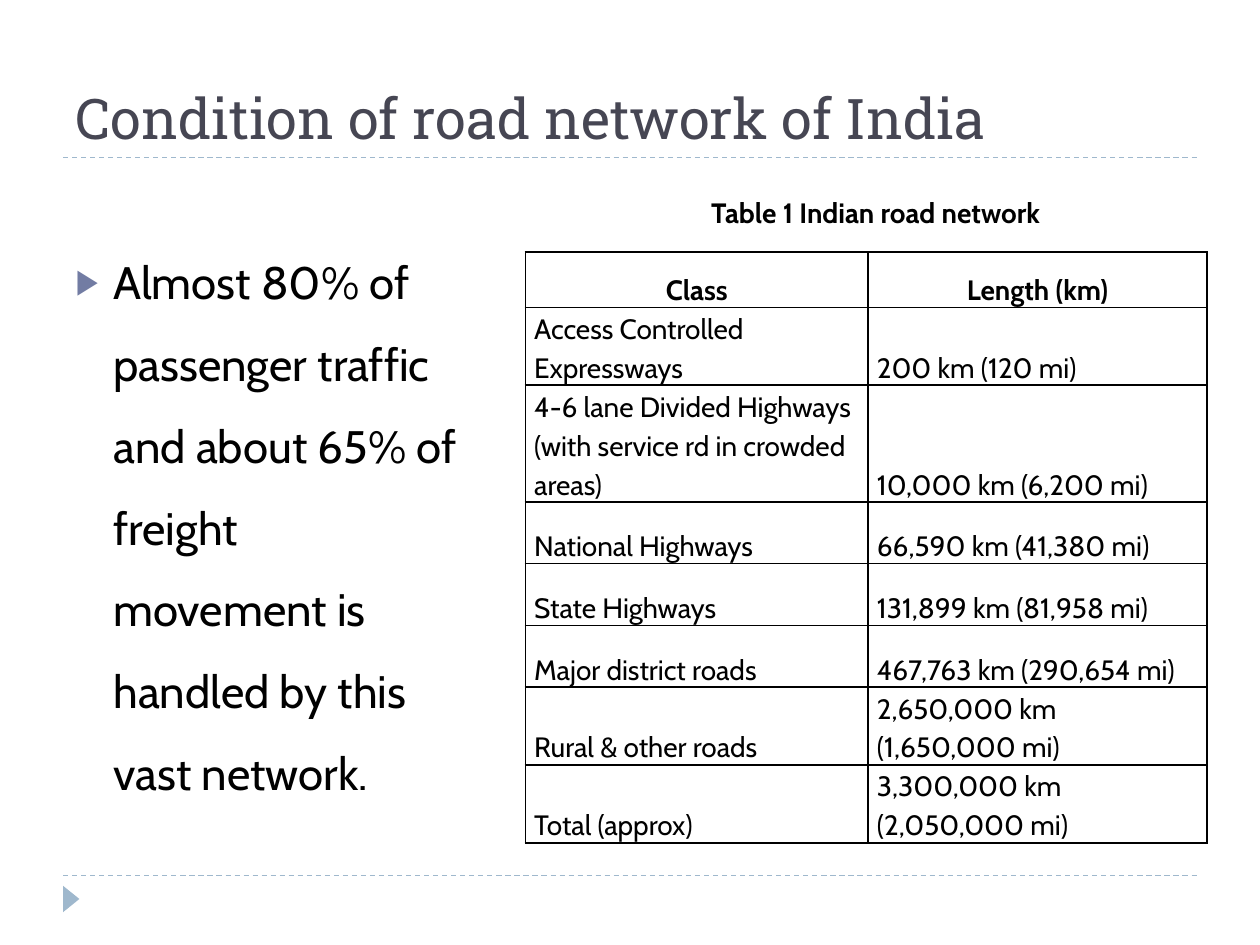
from lxml import etree
from pptx import Presentation
from pptx.dml.color import RGBColor
from pptx.enum.dml import MSO_LINE
from pptx.enum.shapes import MSO_CONNECTOR, MSO_SHAPE
from pptx.enum.text import MSO_ANCHOR, MSO_AUTO_SIZE, PP_ALIGN
from pptx.oxml.ns import qn
from pptx.util import Inches, Pt

LEFT, CENTER = PP_ALIGN.LEFT, PP_ALIGN.CENTER
TOP, BOTTOM = MSO_ANCHOR.TOP, MSO_ANCHOR.BOTTOM
COLORS = {"title": "464653", "text": "000000", "rule": "9FB8CD", "bullet": "727CA3"}
HEADING_FONT, BODY_FONT = "Roboto Slab", "Cabin"
ROAD_ROWS = [
    ("Class", "Length (km)", 0.44),
    ("Access Controlled Expressways ", "200 km (120 mi)", 0.49),
    ("4-6 lane Divided Highways (with service rd in crowded areas) ",
     "10,000 km (6,200 mi)", 0.66),
    ("National Highways ", "66,590 km (41,380 mi)", 0.49),
    ("State Highways ", "131,899 km (81,958 mi)", 0.49),
    ("Major district roads ", "467,763 km (290,654 mi)", 0.49),
    ("Rural & other roads ", "2,650,000 km (1,650,000 mi)", 0.49),
    ("Total (approx) ", "3,300,000 km (2,050,000 mi)", 0.43),
]


def write_text(paragraph, text, size, font=BODY_FONT, color="text", bold=False, align=LEFT):
    """Add one formatted run to a paragraph and align the paragraph."""
    paragraph.alignment = align
    run = paragraph.add_run()
    run.text = text
    run.font.size = Pt(size)
    run.font.name = font
    run.font.bold = bold
    run.font.color.rgb = RGBColor.from_string(COLORS[color])


def add_borders(cell):
    """Draw a thin solid line on all four sides of a table cell."""
    properties = cell._tc.get_or_add_tcPr()
    for position, side in enumerate(("a:lnL", "a:lnR", "a:lnT", "a:lnB")):
        line = etree.Element(qn(side), w=str(Pt(1)))
        fill = etree.SubElement(line, qn("a:solidFill"))
        etree.SubElement(fill, qn("a:srgbClr"), val=COLORS["text"])
        properties.insert(position, line)


presentation = Presentation()
presentation.slide_width, presentation.slide_height = Inches(10), Inches(7.5)
slide = presentation.slides.add_slide(presentation.slide_layouts[1])
title, body = slide.placeholders[0], slide.placeholders[1]

# Dashed rules and corner marker
for rule_top in (6.95, 1.25):
    rule = slide.shapes.add_connector(
        MSO_CONNECTOR.STRAIGHT, Inches(0.5), Inches(rule_top), Inches(9.5), Inches(rule_top))
    rule.line.color.rgb = RGBColor.from_string(COLORS["rule"])
    rule.line.width = Pt(0.75)
    rule.line.dash_style = MSO_LINE.DASH
    etree.SubElement(rule._element.spPr, qn("a:effectLst"))

marker = slide.shapes.add_shape(
    MSO_SHAPE.ISOSCELES_TRIANGLE, Inches(0.46), Inches(7.07), Inches(0.21), Inches(0.13))
marker.rotation = 90
marker.shadow.inherit = False
marker.fill.solid()
marker.fill.fore_color.rgb = RGBColor.from_string(COLORS["rule"])
marker.line.fill.background()

# Title
title.left, title.top, title.width, title.height = (
    Inches(0.5), Inches(0.17), Inches(9), Inches(1.08))
title.text_frame.auto_size = MSO_AUTO_SIZE.NONE
title.text_frame.vertical_anchor = BOTTOM
write_text(title.text_frame.paragraphs[0], "Condition of road network of India", 32,
           font=HEADING_FONT, color="title")

# Bulleted statement
body.left, body.top, body.width, body.height = (
    Inches(0.5), Inches(1.75), Inches(3.25), Inches(4.95))
body.text_frame.auto_size = MSO_AUTO_SIZE.NONE
statement = body.text_frame.paragraphs[0]
statement.line_spacing = 1.5
statement.space_before = Pt(6)
write_text(statement, "Almost 80% of passenger traffic and about 65% of freight "
           "movement is handled by this vast network.", 26)
bullet = statement._p.get_or_add_pPr()
bullet.set("marL", str(Inches(0.3)))
bullet.set("indent", str(-Inches(0.3)))
bullet_color = etree.SubElement(bullet, qn("a:buClr"))
etree.SubElement(bullet_color, qn("a:srgbClr"), val=COLORS["bullet"])
etree.SubElement(bullet, qn("a:buSzPct"), val="76000")
etree.SubElement(bullet, qn("a:buChar"), char="\u25b6")

# Road network table
table = slide.shapes.add_table(
    len(ROAD_ROWS), 2, Inches(4.17), Inches(2), Inches(5.41), Inches(3.98)).table
table.first_row = table.horz_banding = False
for column, width in zip(table.columns, (2.72, 2.69)):
    column.width = Inches(width)
for row_index, (road_class, length, height) in enumerate(ROAD_ROWS):
    table.rows[row_index].height = Inches(height)
    is_header = row_index == 0
    for column_index, text in enumerate((road_class, length)):
        cell = table.cell(row_index, column_index)
        cell.fill.background()
        cell.vertical_anchor = BOTTOM
        cell.margin_left = cell.margin_right = Inches(0.07)
        cell.margin_top = cell.margin_bottom = 0
        paragraph = cell.text_frame.paragraphs[0]
        paragraph.line_spacing = 1.15
        write_text(paragraph, text, 16, bold=is_header, align=CENTER if is_header else LEFT)
        add_borders(cell)

# Table caption
caption = slide.shapes.add_textbox(Inches(5.25), Inches(1.5), Inches(3.4), Inches(0.61))
caption.text_frame.word_wrap = True
caption.text_frame.vertical_anchor = TOP
write_text(caption.text_frame.paragraphs[0], "Table 1 Indian road network", 16,
           bold=True, align=CENTER)

presentation.save("out.pptx")
